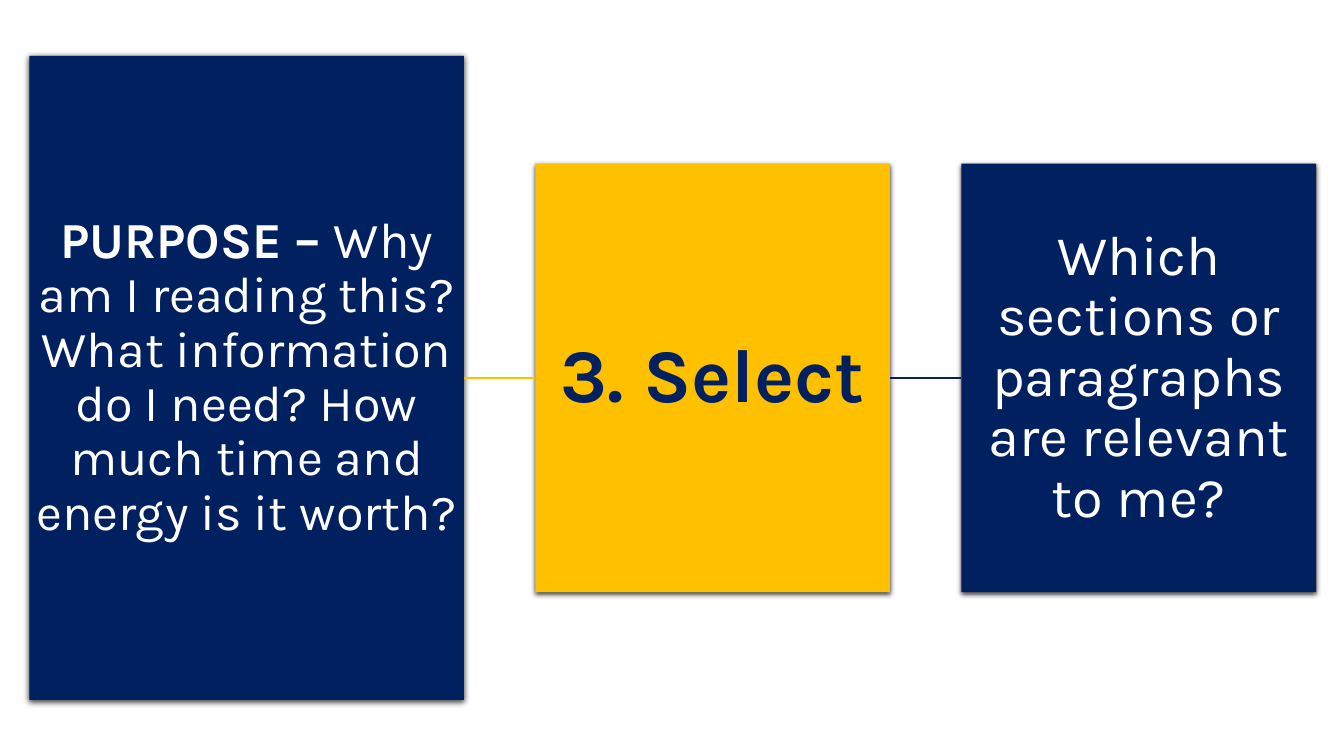
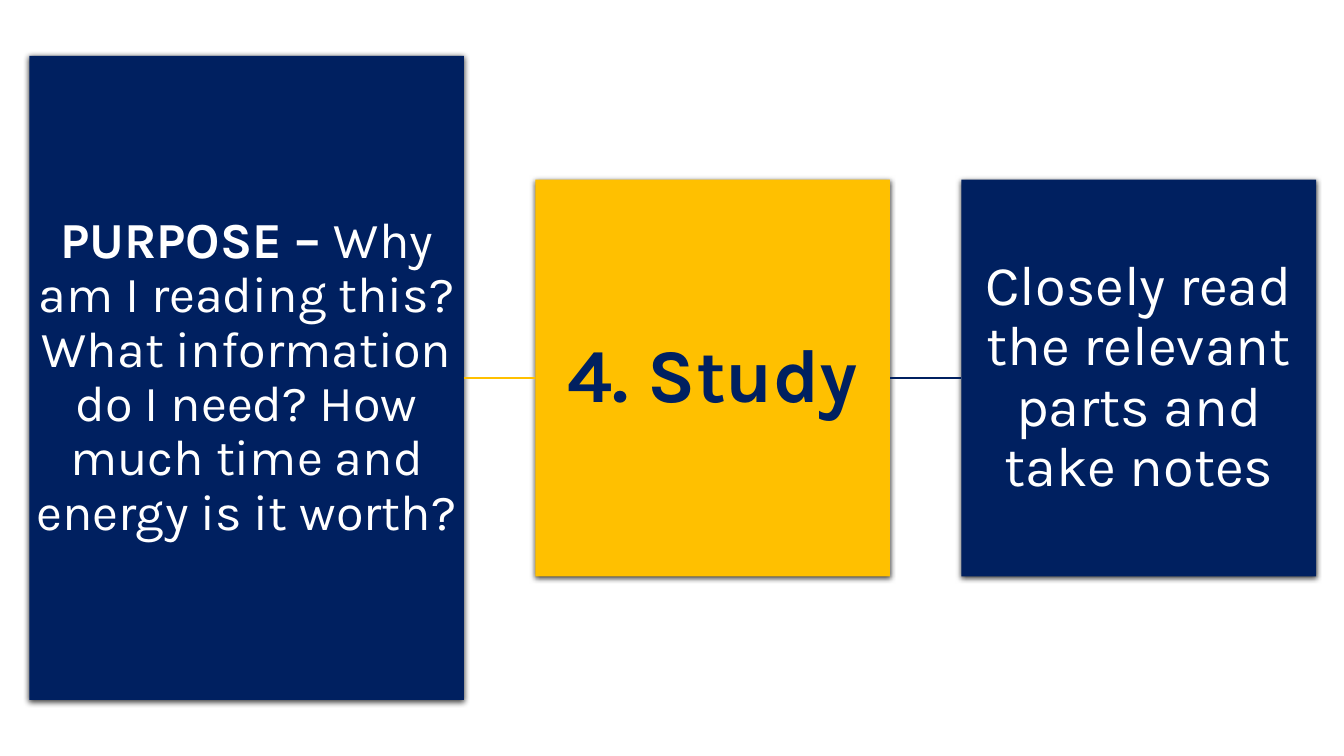
from lxml.etree import SubElement
from pptx import Presentation
from pptx.dml.color import RGBColor
from pptx.enum.shapes import MSO_CONNECTOR as LINK, MSO_SHAPE as SHAPE
from pptx.enum.text import MSO_ANCHOR as ANCHOR, PP_ALIGN as ALIGN
from pptx.oxml.ns import qn
from pptx.util import Cm, Pt

NAVY = RGBColor(0x00, 0x20, 0x60)
GOLD = RGBColor(0xFF, 0xC0, 0x00)
WHITE = RGBColor(0xFF, 0xFF, 0xFF)
FONT = "Karla"

# Lengths in centimetres
WIDE, HIGH = 33.87, 19.05
LEFT, GAP = 0.74, 1.8
MAIN_W, MAIN_H = 10.95, 16.23
STEP_W = 8.94

PURPOSE = [
    ("PURPOSE – ", True),
    ("Why am I reading this? What information do I need? "
     "How much time and energy is it worth?", False),
]
STEPS = [
    ("3. Select", "Which sections or paragraphs are relevant to me?", 10.8),
    ("4. Study", "Closely read the relevant parts and take notes", 10),
]


def add_box(slide, left, width, height, fill, ink, size, inset, runs):
    """Add a shadowed box, centred vertically on the slide."""
    box = slide.shapes.add_shape(SHAPE.RECTANGLE, Cm(left), Cm((HIGH - height) / 2),
                                 Cm(width), Cm(height))
    box.fill.solid()
    box.fill.fore_color.rgb = fill
    box.line.fill.background()

    # Soft shadow straight below
    box.shadow.inherit = False
    effects = box._element.spPr.find(qn("a:effectLst"))
    shade = SubElement(effects, qn("a:outerShdw"), blurRad=str(Pt(4)),
                       dist=str(Pt(1.2)), dir="5400000", rotWithShape="0")
    black = SubElement(shade, qn("a:srgbClr"), val="000000")
    SubElement(black, qn("a:alpha"), val="75000")

    # Text
    frame = box.text_frame
    frame.word_wrap = True
    frame.vertical_anchor = ANCHOR.MIDDLE
    frame.margin_left = frame.margin_right = Cm(inset)
    frame.margin_top = frame.margin_bottom = Cm(inset)
    para = frame.paragraphs[0]
    para.alignment = ALIGN.CENTER
    para.line_spacing = 0.9
    for text, bold in runs:
        run = para.add_run()
        run.text = text
        run.font.name = FONT
        run.font.size = Pt(size)
        run.font.bold = bold
        run.font.color.rgb = ink
    return box


def add_link(slide, start, end, color):
    """Join the right side of one box to the left side of the next."""
    link = slide.shapes.add_connector(LINK.STRAIGHT, 0, 0, 0, 0)
    link.begin_connect(start, 3)
    link.end_connect(end, 1)
    link.line.color.rgb = color
    link.line.width = Pt(0.75)
    SubElement(link._element.spPr, qn("a:effectLst"))


deck = Presentation()
deck.slide_width, deck.slide_height = Cm(WIDE), Cm(HIGH)
blank = deck.slide_layouts[6]

# Columns
step_x = LEFT + MAIN_W + GAP
task_x = step_x + STEP_W + GAP

# One slide per reading step
for name, task, height in STEPS:
    slide = deck.slides.add_slide(blank)
    main = add_box(slide, LEFT, MAIN_W, MAIN_H, NAVY, WHITE, 36, 0.08, PURPOSE)
    step = add_box(slide, step_x, STEP_W, height, GOLD, NAVY, 54, 0.1, [(name, True)])
    goal = add_box(slide, task_x, STEP_W, height, NAVY, WHITE, 40, 0.08, [(task, False)])
    add_link(slide, main, step, GOLD)
    add_link(slide, step, goal, NAVY)

deck.save("out.pptx")
